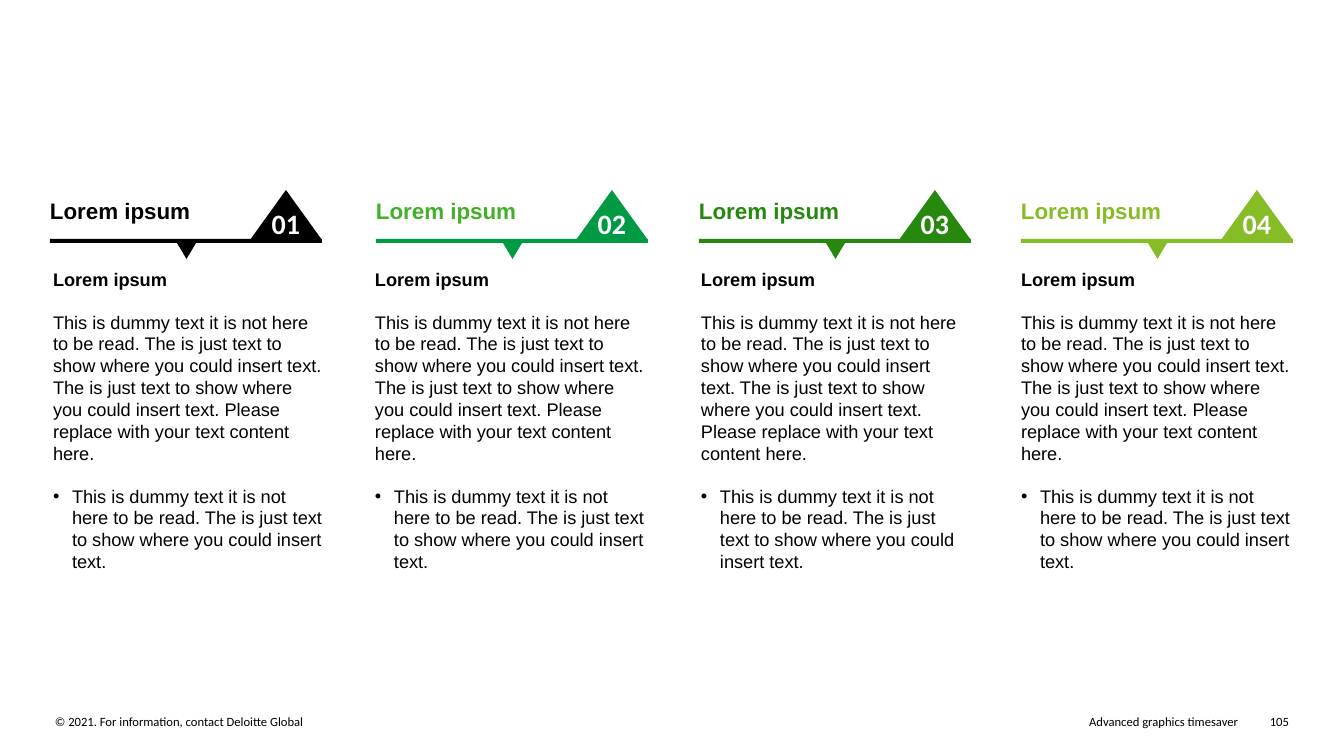
from dataclasses import dataclass

from lxml.etree import SubElement
from pptx import Presentation
from pptx.dml.color import RGBColor as Rgb
from pptx.enum.shapes import MSO_SHAPE as Shape
from pptx.enum.text import MSO_ANCHOR as Anchor, MSO_AUTO_SIZE as AutoSize, PP_ALIGN as Align
from pptx.oxml.ns import qn
from pptx.util import Pt

EMU_PER_PX = 914400 / 100.8


@dataclass(frozen=True)
class Theme:
    black: str = "000000"
    white: str = "FFFFFF"
    emerald: str = "009A44"
    leaf: str = "43B02A"
    forest: str = "26890D"
    lime: str = "86BC25"
    text_font: str = "Arial"
    label_font: str = "Calibri"
    heading_size: int = 16
    body_size: int = 13
    number_size: int = 20
    footer_size: int = 9
    paragraph_gap: int = 15


THEME = Theme()

HEADING = "Lorem ipsum"
BULLET = ("This is dummy text it is not here to be read. "
          "The is just text to show where you could insert text.")
SUMMARY = (BULLET + " The is just text to show where you could insert text. "
           "Please replace with your text content here.")

COLUMNS = [
    (50, 53, 269, THEME.black, THEME.black),
    (376, 375, 272, THEME.leaf, THEME.emerald),
    (699, 701, 267, THEME.forest, THEME.forest),
    (1021, 1021, 271, THEME.lime, THEME.lime),
]

FOOTERS = [
    (55, 591, "© 2021. For information, contact Deloitte Global", Align.LEFT),
    (699, 539, "Advanced graphics timesaver", Align.RIGHT),
    (1255, 34, "105", Align.RIGHT),
]


def px(length):
    return round(length * EMU_PER_PX)


def apply(target, formats):
    for name, value in formats.items():
        setattr(target, name, value)


def place(element, left, top, width, height):
    apply(element, {"left": px(left), "top": px(top), "width": px(width), "height": px(height)})


def format_frame(frame, anchor, wrap=True):
    apply(frame, {"margin_left": 0, "margin_top": 0, "margin_right": 0, "margin_bottom": 0,
                  "auto_size": AutoSize.NONE, "word_wrap": wrap, "vertical_anchor": anchor})


def write(paragraph, words, size, font, color=THEME.black, bold=False, align=Align.LEFT):
    paragraph.alignment = align
    run = paragraph.add_run()
    run.text = words
    apply(run.font, {"size": Pt(size), "name": font, "bold": bold})
    run.font.color.rgb = Rgb.from_string(color)


def set_bullet(paragraph, bullet, indent):
    properties = paragraph._p.get_or_add_pPr()
    properties.set("marL", str(px(indent)))
    properties.set("indent", str(-px(indent)))
    if bullet:
        SubElement(properties, qn("a:buChar")).set("char", bullet)
    else:
        SubElement(properties, qn("a:buNone"))


def add_label(slide, box, words, anchor=Anchor.TOP, **style):
    label = slide.shapes.add_textbox(*map(px, box))
    format_frame(label.text_frame, anchor)
    write(label.text_frame.paragraphs[0], words, **style)


def add_block(slide, kind, box, color, rotation=0):
    block = slide.shapes.add_shape(kind, *map(px, box))
    block.shadow.inherit = False
    block.rotation = rotation
    block.fill.solid()
    block.fill.fore_color.rgb = Rgb.from_string(color)
    block.line.fill.background()
    return block


def fill_body(body, left, width):
    place(body, left, 268, width, 308)
    frame = body.text_frame
    format_frame(frame, Anchor.TOP)
    parts = [(HEADING, True, None, 0, 0),
             (SUMMARY, False, None, 0, THEME.paragraph_gap),
             (BULLET, False, "•", 19, THEME.paragraph_gap)]
    for index, (words, bold, bullet, indent, gap) in enumerate(parts):
        paragraph = frame.add_paragraph() if index else frame.paragraphs[0]
        set_bullet(paragraph, bullet, indent)
        apply(paragraph, {"space_before": Pt(gap), "space_after": Pt(0), "line_spacing": 1.0})
        write(paragraph, words, THEME.body_size, THEME.text_font, bold=bold)


def add_banner(slide, left, number, heading_color, accent):
    add_label(slide, (left, 197, 177, 27), HEADING, Anchor.MIDDLE, size=THEME.heading_size,
              font=THEME.text_font, color=heading_color, bold=True)
    badge = add_block(slide, Shape.ISOSCELES_TRIANGLE, (left + 200, 190, 72, 50), accent)
    format_frame(badge.text_frame, Anchor.BOTTOM, wrap=False)
    write(badge.text_frame.paragraphs[0], f"{number:02d}", THEME.number_size,
          THEME.label_font, THEME.white, True, Align.CENTER)
    add_block(slide, Shape.RECTANGLE, (left, 239, 272, 4), accent)
    add_block(slide, Shape.ISOSCELES_TRIANGLE, (left + 127, 243, 19, 16), accent, 180)


def main():
    deck = Presentation()
    apply(deck, {"slide_width": px(1344), "slide_height": px(756)})
    slide = deck.slides.add_slide(deck.slide_layouts.get_by_name("Comparison"))
    title, *bodies = slide.placeholders
    title.element.getparent().remove(title.element)
    for left, width, words, align in FOOTERS:
        add_label(slide, (left, 714, width, 15), words, size=THEME.footer_size,
                  font=THEME.label_font, align=align)
    for number, (body, column) in enumerate(zip(bodies, COLUMNS), 1):
        left, body_left, body_width, heading_color, accent = column
        fill_body(body, body_left, body_width)
        add_banner(slide, left, number, heading_color, accent)
    deck.save("out.pptx")


if __name__ == "__main__":
    main()
